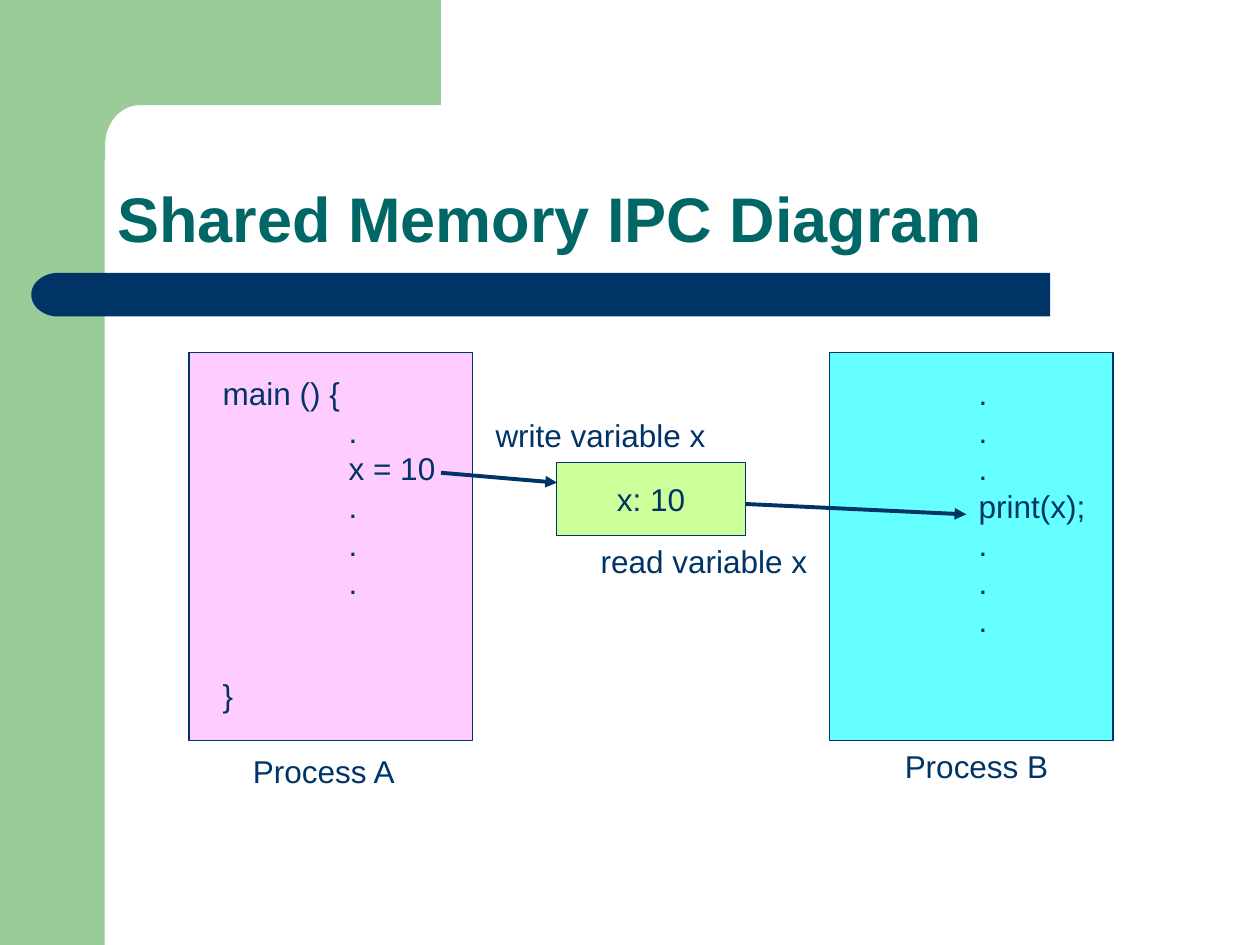
from dataclasses import dataclass
from math import cos, pi, sin

from lxml import etree
from pptx import Presentation
from pptx.dml.color import RGBColor
from pptx.enum.shapes import MSO_CONNECTOR, MSO_SHAPE
from pptx.enum.text import MSO_ANCHOR, MSO_AUTO_SIZE, PP_ALIGN
from pptx.oxml.ns import qn
from pptx.util import Cm, Pt

RECT = MSO_SHAPE.RECTANGLE
DELAY = MSO_SHAPE.FLOWCHART_DELAY
LINE = MSO_CONNECTOR.STRAIGHT
FIT = MSO_AUTO_SIZE.SHAPE_TO_FIT_TEXT
GREEN, NAVY, TEAL = "99CC99", "003366", "006666"
PINK, CYAN, LIME = "FFCCFF", "66FFFF", "CCFF99"
PITCH = 21.6  # points from one text line to the next


@dataclass
class Box:
    """A plain shape, measured in centimetres."""
    left: float
    top: float
    width: float
    height: float
    fill: str
    edge: str = ""
    kind: int = RECT


@dataclass
class Note:
    """Lines of text, measured in centimetres."""
    left: float
    top: float
    width: float
    height: float
    lines: list[str]


@dataclass
class Arrow:
    start: tuple[float, float]
    end: tuple[float, float]


def paint(form, code: str) -> None:
    """Set the solid colour of a fill or a line fill."""
    form.solid()
    form.fore_color.rgb = RGBColor.from_string(code)


def style(para, size: float, code: str, bold: bool = False) -> None:
    font = para.font
    font.name, font.size, font.bold = "Arial", Pt(size), bold
    font.color.rgb = RGBColor.from_string(code)


def add_tab(para) -> None:
    """Put a left tab stop ahead of the paragraph's font settings."""
    tabs = etree.Element(qn("a:tabLst"))
    etree.SubElement(tabs, qn("a:tab"), pos=str(Cm(2.54)), algn="l")
    para._p.pPr.find(qn("a:defRPr")).addprevious(tabs)


def finish(shape, fill: str, edge: str = "") -> None:
    """Give a shape its fill and edge, and no shadow."""
    shape.shadow.inherit = False
    paint(shape.fill, fill)
    if edge:
        paint(shape.line.fill, edge)
        shape.line.width = Pt(0.75)
    else:
        shape.line.fill.background()


def draw_box(slide, box: Box):
    area = map(Cm, (box.left, box.top, box.width, box.height))
    shape = slide.shapes.add_shape(box.kind, *area)
    finish(shape, box.fill, box.edge)
    return shape


def draw_note(slide, note: Note) -> None:
    area = map(Cm, (note.left, note.top, note.width, note.height))
    frame = slide.shapes.add_textbox(*area).text_frame
    frame.word_wrap = False
    frame.auto_size = FIT
    frame.text = "\n".join(note.lines)
    for para in frame.paragraphs:
        style(para, 18, NAVY)
        para.line_spacing = Pt(PITCH)
        if para.text == "}":
            para.space_before = Pt(2 * PITCH)
        add_tab(para)


def draw_arrow(slide, arrow: Arrow) -> None:
    line = slide.shapes.add_connector(LINE, *map(Cm, arrow.start + arrow.end))
    paint(line.line.fill, NAVY)
    line.line.width = Pt(2.25)
    etree.SubElement(line.line._get_or_add_ln(), qn("a:tailEnd"), type="triangle")
    etree.SubElement(line._element.spPr, qn("a:effectLst"))


def draw_corner(slide) -> None:
    """Draw the green top band with its rounded inner corner."""
    arc = []
    for step in range(13):
        turn = step * pi / 24
        arc.append((2.82 - 0.7 * sin(turn), 2.92 - 0.8 * cos(turn)))
    points = [(8.89, 2.12), *arc, (2.12, 3.23), (1.27, 3.23), (1.27, 0)]
    path = slide.shapes.build_freeform(Cm(8.89), 0)
    path.add_line_segments([(Cm(x), Cm(y)) for x, y in points])
    finish(path.convert_to_shape(), GREEN)


def draw_title(slide, text: str) -> None:
    area = map(Cm, (2.12, 2.1, 22.02, 3.18))
    frame = slide.shapes.add_textbox(*area).text_frame
    frame.word_wrap = True
    frame.vertical_anchor = MSO_ANCHOR.BOTTOM
    para = frame.paragraphs[0]
    para.text = text
    para.line_spacing = 0.9
    style(para, 36, TEAL, True)


def draw_memory(slide) -> None:
    frame = draw_box(slide, Box(11.22, 9.32, 3.81, 1.47, LIME, NAVY)).text_frame
    frame.word_wrap = False
    frame.vertical_anchor = MSO_ANCHOR.MIDDLE
    para = frame.paragraphs[0]
    para.text = "x: 10"
    para.alignment = PP_ALIGN.CENTER
    style(para, 18, NAVY)


DOTS = ["\t."] * 3
CODE_A = ["main () {", "\t.", "\tx = 10", *DOTS, "}"]
CODE_B = [*DOTS, "\tprint(x);", *DOTS]
PARTS = [
    Box(3.81, 7.1, 5.72, 7.83, PINK, NAVY),
    Box(16.72, 7.1, 5.72, 7.83, CYAN, NAVY),
]
NOTES = [
    Note(4.85, 15.04, 3.4, 1.02, ["Process A"]),
    Note(17.99, 14.94, 3.4, 1.02, ["Process B"]),
    Note(9.74, 8.26, 4.78, 1.02, ["write variable x"]),
    Note(11.86, 10.8, 4.7, 1.02, ["read variable x"]),
    Note(4.24, 7.41, 4.85, 7.11, CODE_A),
    Note(16.94, 7.41, 5.22, 7.11, CODE_B),
]
ARROWS = [
    Arrow((8.89, 9.53), (11.23, 9.73)),
    Arrow((15.04, 10.16), (19.48, 10.37)),
]


def main() -> None:
    deck = Presentation()
    deck.slide_width, deck.slide_height = Cm(25.4), Cm(19.05)
    slide = deck.slides.add_slide(deck.slide_layouts[6])

    draw_box(slide, Box(0, 0, 2.11, 19.05, GREEN))
    draw_corner(slide)
    draw_box(slide, Box(1.7, 5.5, 19.47, 0.88, NAVY))
    cap = draw_box(slide, Box(0.63, 5.5, 1.09, 0.88, NAVY, kind=DELAY))
    cap.rotation = 180
    draw_title(slide, "Shared Memory IPC Diagram")

    for part in PARTS:
        draw_box(slide, part)
    for note in NOTES:
        draw_note(slide, note)
    for arrow in ARROWS:
        draw_arrow(slide, arrow)
    draw_memory(slide)
    deck.save("out.pptx")


if __name__ == "__main__":
    main()
